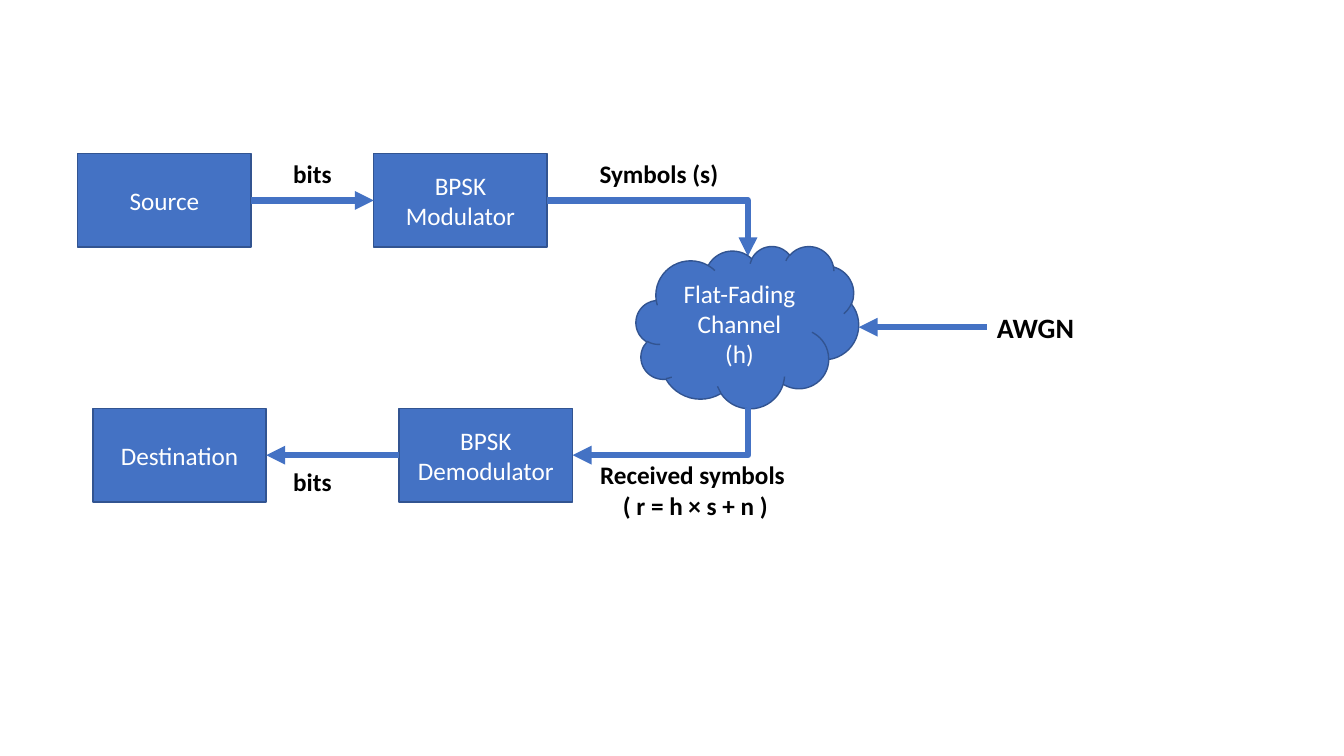
from lxml import etree
from pptx import Presentation
from pptx.dml.color import RGBColor
from pptx.enum.shapes import MSO_CONNECTOR, MSO_SHAPE
from pptx.enum.text import MSO_ANCHOR, PP_ALIGN
from pptx.oxml.ns import qn
from pptx.util import Cm, Pt

STRAIGHT, ELBOW = MSO_CONNECTOR.STRAIGHT, MSO_CONNECTOR.ELBOW
RECTANGLE, CLOUD = MSO_SHAPE.RECTANGLE, MSO_SHAPE.CLOUD
MIDDLE = MSO_ANCHOR.MIDDLE
LEFT, CENTER = PP_ALIGN.LEFT, PP_ALIGN.CENTER
COLORS = {"fill": "4472C4", "outline": "325491", "light": "FFFFFF", "dark": "000000"}
FONT = "Calibri"
BLOCK_WIDTH, BLOCK_HEIGHT = 4.37, 2.36
LEFT_SITE, RIGHT_SITE = 1, 3


def color(name):
    return RGBColor.from_string(COLORS[name])


def write(shape, text, color_name, size=18, bold=False, alignment=CENTER):
    shape.text_frame.text = text
    for paragraph in shape.text_frame.paragraphs:
        paragraph.alignment = alignment
        for run in paragraph.runs:
            run.font.name = FONT
            run.font.size = Pt(size)
            run.font.bold = bold
            run.font.color.rgb = color(color_name)


def add_block(slide, kind, text, left, top, width=BLOCK_WIDTH, height=BLOCK_HEIGHT):
    block = slide.shapes.add_shape(kind, Cm(left), Cm(top), Cm(width), Cm(height))
    block.shadow.inherit = False
    block.fill.solid()
    block.fill.fore_color.rgb = color("fill")
    block.line.color.rgb = color("outline")
    block.line.width = Pt(1)
    block.text_frame.word_wrap = True
    block.text_frame.vertical_anchor = MIDDLE
    write(block, text, "light")
    return block


def add_label(slide, text, left, top, width, height=1.02, size=18, alignment=LEFT):
    label = slide.shapes.add_textbox(Cm(left), Cm(top), Cm(width), Cm(height))
    label.text_frame.word_wrap = False
    write(label, text, "dark", size, True, alignment)


def add_arrow(slide, start_x, start_y, end_x, end_y, kind=STRAIGHT):
    arrow = slide.shapes.add_connector(kind, Cm(start_x), Cm(start_y), Cm(end_x), Cm(end_y))
    arrow.line.color.rgb = color("fill")
    arrow.line.width = Pt(4.5)
    etree.SubElement(arrow.line._get_or_add_ln(), qn("a:tailEnd"), type="triangle")
    etree.SubElement(arrow._element.spPr, qn("a:effectLst"))
    return arrow


def add_corner_arrow(slide, left, top, width, height, quarter_turn=False):
    if quarter_turn:
        left, top = left + (width - height) / 2, top + (height - width) / 2
        width, height = height, width
    arrow = add_arrow(slide, left, top, left + width, top + height, ELBOW)
    properties = arrow._element.spPr
    properties.find(qn("a:prstGeom")).set("prst", "bentConnector2")
    if quarter_turn:
        properties.find(qn("a:xfrm")).set("rot", "5400000")


def link_blocks(slide, first, first_site, second, second_site):
    arrow = add_arrow(slide, 0, 0, 1, 1)
    arrow.begin_connect(first, first_site)
    arrow.end_connect(second, second_site)


def add_transmitter(slide, left, top, width, height):
    modulator_left = left + 7.46
    middle = top + BLOCK_HEIGHT / 2
    modulator_right = modulator_left + BLOCK_WIDTH
    source = add_block(slide, RECTANGLE, "Source", left, top)
    modulator = add_block(slide, RECTANGLE, "BPSK Modulator", modulator_left, top)
    link_blocks(slide, source, RIGHT_SITE, modulator, LEFT_SITE)
    add_corner_arrow(slide, modulator_right, middle, left + width - modulator_right,
                     top + height - middle)
    add_label(slide, "bits", left + 5.18, top, 1.5)
    add_label(slide, "Symbols (s)", left + 12.9, top, 3.53)


def add_channel(slide, left, top, width, height):
    cloud_width = 5.61
    noise_left, middle = left + 8.84, top + height / 2
    add_block(slide, CLOUD, "Flat-Fading Channel\n(h)", left, top, cloud_width, height)
    add_arrow(slide, noise_left, middle, left + cloud_width, middle)
    add_label(slide, "AWGN", noise_left, middle - 0.55, left + width - noise_left, 1.12, 20)


def add_receiver(slide, left, top, width, height):
    demodulator_left = left + 7.72
    demodulator_right = demodulator_left + BLOCK_WIDTH
    demodulator = add_block(slide, RECTANGLE, "BPSK Demodulator", demodulator_left, top)
    destination = add_block(slide, RECTANGLE, "Destination", left, top)
    link_blocks(slide, demodulator, LEFT_SITE, destination, RIGHT_SITE)
    add_corner_arrow(slide, demodulator_right, top, left + width - demodulator_right,
                     BLOCK_HEIGHT / 2, True)
    add_label(slide, "bits", left + 4.8, top + 1.34, 1.5)
    add_label(slide, "Received symbols \n( r = h × s + n )", left + 12.52,
              top + height - 1.8, 5.33, 1.8, alignment=CENTER)


presentation = Presentation()
presentation.slide_width, presentation.slide_height = Cm(33.87), Cm(19.05)
slide = presentation.slides.add_slide(presentation.slide_layouts[6])
add_transmitter(slide, 1.96, 3.87, 16.89, 2.59)
add_channel(slide, 16.03, 6.2, 11.3, 4.09)
add_receiver(slide, 2.34, 10.29, 16.51, 2.97)
presentation.save("out.pptx")
